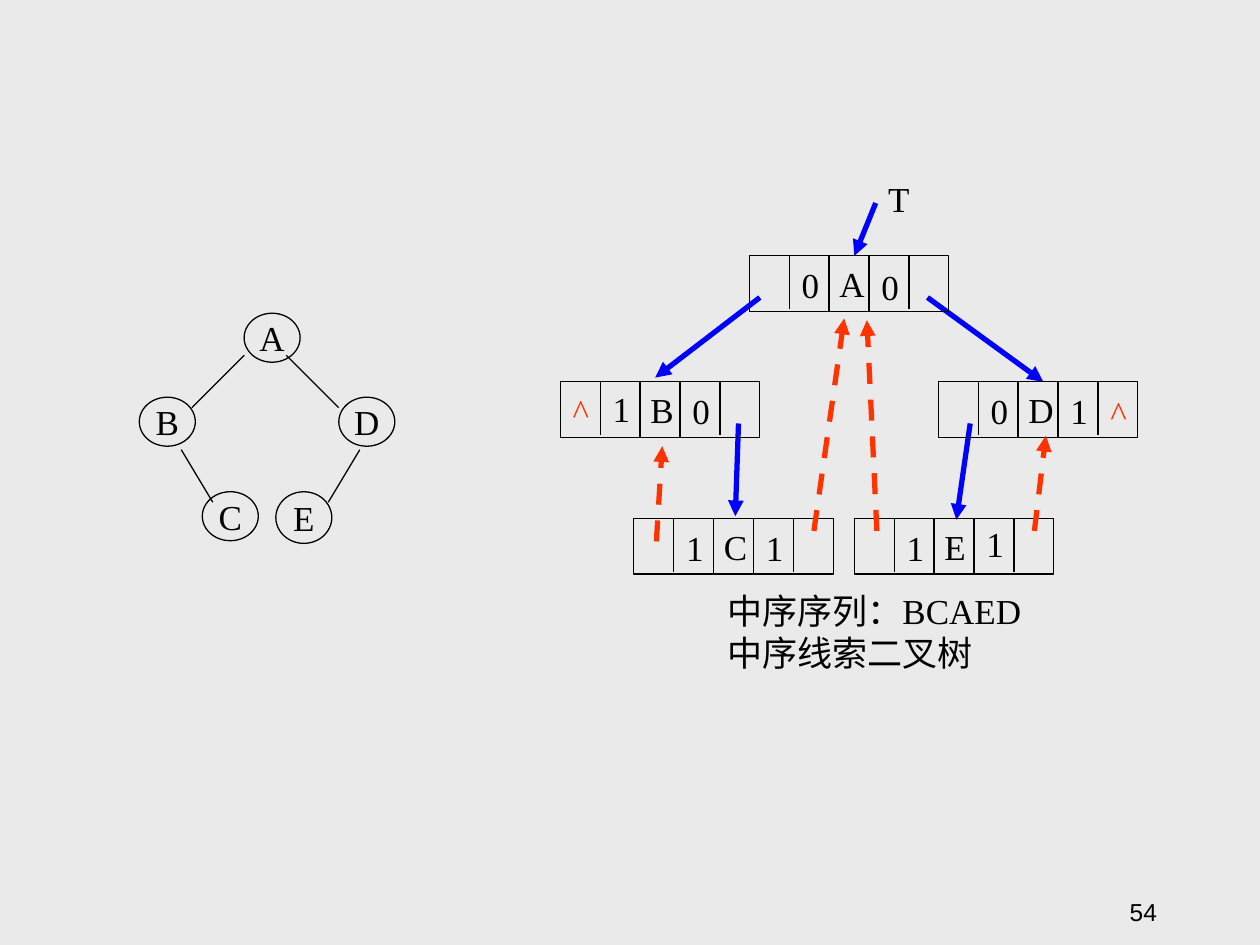
from dataclasses import dataclass
from typing import Any

from lxml import etree
from pptx import Presentation
from pptx.dml.color import RGBColor
from pptx.enum.dml import MSO_LINE
from pptx.enum.shapes import MSO_CONNECTOR, MSO_SHAPE
from pptx.enum.text import MSO_ANCHOR, PP_ALIGN
from pptx.oxml.ns import qn
from pptx.util import Pt

STRAIGHT = MSO_CONNECTOR.STRAIGHT
OVAL, RECTANGLE = MSO_SHAPE.OVAL, MSO_SHAPE.RECTANGLE
TOP, MIDDLE, BOTTOM = MSO_ANCHOR.TOP, MSO_ANCHOR.MIDDLE, MSO_ANCHOR.BOTTOM
LEFT, CENTER, RIGHT = PP_ALIGN.LEFT, PP_ALIGN.CENTER, PP_ALIGN.RIGHT
DASH = MSO_LINE.DASH

COLORS = {"background": "EAEAEA", "ink": "000000", "link": "0000FF", "thread": "FF3300"}
CELL_WIDTH, RECORD_HEIGHT = 22.8, 31.7
OVAL_WIDTH = 32

TREE_NODES = {
    "A": (139.5, 179, 28),
    "B": (79.6, 227, 28),
    "C": (115.6, 281, 28),
    "D": (193.6, 227, 28),
    "E": (157.6, 281, 29.5),
}
TREE_EDGES = [
    ((139.6, 203), (109.6, 233)),
    ((163.6, 203), (193.6, 233)),
    ((103.6, 257), (121.6, 287)),
    ((205.6, 257), (187.6, 287)),
]
RECORDS = {
    "A": (428.2, 146.2, {1: ("0", 0.7), 3: ("0", 1.4)}),
    "B": (320.2, 218.2, {0: ("^", 0.7), 1: ("1", -0.7), 3: ("0", 0.7)}),
    "D": (536.2, 218.2, {1: ("0", 0.7), 3: ("1", 0.7), 4: ("^", 1.4)}),
    "C": (362.2, 296.3, {1: ("1", 0.7), 3: ("1", 0.7)}),
    "E": (488.2, 296.3, {1: ("1", 0.7), 3: ("1", -1.4)}),
}
LINKS = [
    ((434.2, 170), (374.4, 215.8)),
    ((530, 170), (596.2, 218.2)),
    ((422, 242), (420.2, 295)),
    ((554.4, 242), (546.5, 297)),
    ((500.4, 116), (488.2, 146.2)),
]
THREADS = [
    ((375.1, 309.4), (378.4, 255)),
    ((465.1, 303.4), (482.4, 182)),
    ((501.1, 303.4), (495.4, 183)),
    ((591.1, 303.4), (597.6, 249)),
]


@dataclass
class Canvas:
    """Draws the slide's elements in one shared style."""

    slide: Any
    font: str = "Times New Roman"
    size: float = 20

    def color(self, name):
        return RGBColor.from_string(COLORS[name])

    def label(self, shape, lines, color="ink", align=CENTER, anchor=MIDDLE,
              wrap=False, font=None, size=None):
        frame = shape.text_frame
        frame.word_wrap = wrap
        frame.vertical_anchor = anchor
        frame.text = "\n".join(lines)
        for paragraph in frame.paragraphs:
            paragraph.alignment = align
            paragraph.font.name = font or self.font
            paragraph.font.size = Pt(size or self.size)
            paragraph.font.color.rgb = self.color(color)

    def text(self, left, top, width, height, *lines, **style):
        box = self.slide.shapes.add_textbox(Pt(left), Pt(top), Pt(width), Pt(height))
        self.label(box, lines, **style)

    def outline(self, kind, left, top, width, height):
        shape = self.slide.shapes.add_shape(kind, Pt(left), Pt(top), Pt(width), Pt(height))
        shape.shadow.inherit = False
        shape.fill.background()
        shape.line.color.rgb = self.color("ink")
        shape.line.width = Pt(0.75)
        return shape

    def line(self, start, end, color="ink", width=0.75, dash=None, arrow=False):
        connector = self.slide.shapes.add_connector(STRAIGHT, *map(Pt, start + end))
        connector.line.color.rgb = self.color(color)
        connector.line.width = Pt(width)
        if dash:
            connector.line.dash_style = dash
        properties = connector._element.spPr
        if arrow:
            etree.SubElement(properties.find(qn("a:ln")), qn("a:tailEnd"), type="triangle")
        etree.SubElement(properties, qn("a:effectLst"))

    def tree_node(self, letter, left, top, height):
        self.label(self.outline(OVAL, left, top, OVAL_WIDTH, height), [letter])

    def record(self, letter, left, top):
        shape = self.outline(RECTANGLE, left, top, 5 * CELL_WIDTH, RECORD_HEIGHT)
        self.label(shape, [letter], align=LEFT, wrap=True)
        shape.text_frame.margin_left = Pt(51.5)
        for index in range(1, 5):
            x = left + index * CELL_WIDTH
            depth = 32 if index in (2, 3) else 30.5
            self.line((x, top), (x, top + depth))

    def fields(self, left, top, symbols):
        for index, (symbol, nudge) in symbols.items():
            self.text(left + index * CELL_WIDTH, top + nudge, CELL_WIDTH, RECORD_HEIGHT,
                      symbol, color="thread" if symbol == "^" else "ink")


def main():
    presentation = Presentation()
    presentation.slide_width, presentation.slide_height = Pt(720), Pt(540)
    slide = presentation.slides.add_slide(presentation.slide_layouts[6])
    canvas = Canvas(slide)
    slide.background.fill.solid()
    slide.background.fill.fore_color.rgb = canvas.color("background")

    for letter, place in TREE_NODES.items():
        canvas.tree_node(letter, *place)
    for start, end in TREE_EDGES:
        canvas.line(start, end)

    for start, end in LINKS:
        canvas.line(start, end, "link", 3, arrow=True)
    for letter, (left, top, _) in RECORDS.items():
        canvas.record(letter, left, top)
    canvas.text(500.4, 98, 26.6, 31.7, "T", align=LEFT, anchor=TOP)
    canvas.text(408.4, 333.4, 187, 55.4, "中序序列：BCAED", "中序线索二叉树",
                align=LEFT, anchor=TOP)
    for left, top, symbols in RECORDS.values():
        canvas.fields(left, top, symbols)
    for start, end in THREADS:
        canvas.line(start, end, "thread", 3, DASH, arrow=True)

    canvas.text(518.4, 496.8, 149.8, 36, "54", align=RIGHT, anchor=BOTTOM,
                wrap=True, font="Arial", size=14)
    presentation.save("out.pptx")


if __name__ == "__main__":
    main()
